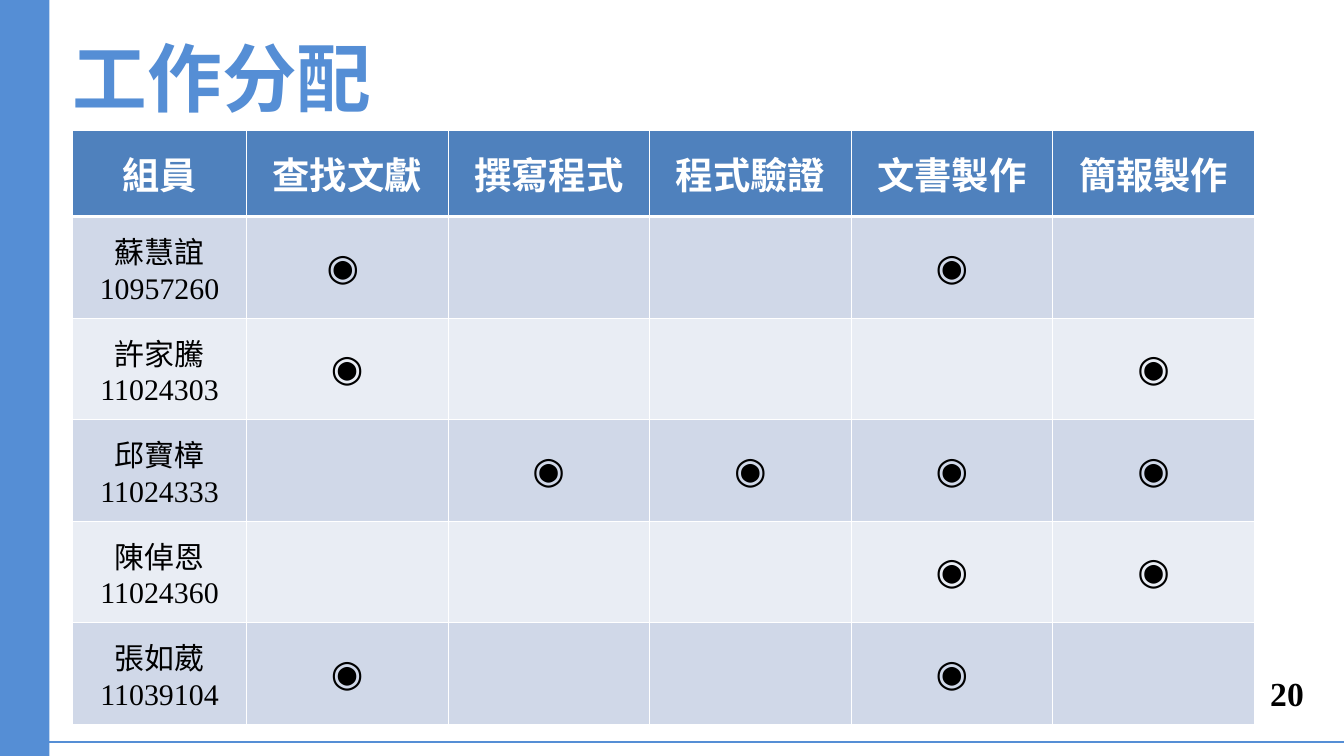
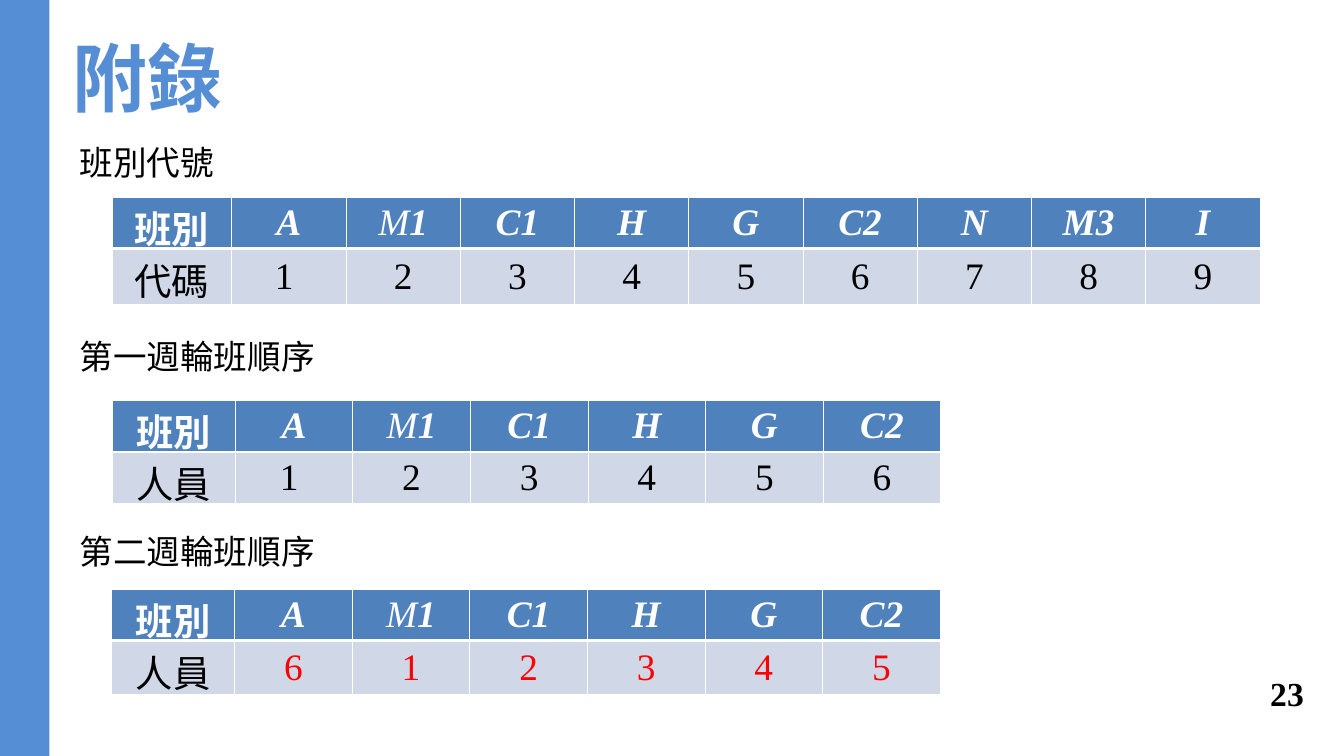
"""Builds the work allocation slide and the shift appendix slide."""
from dataclasses import dataclass
from typing import Any

import pptx
import pptx.dml.color
import pptx.enum.shapes
import pptx.enum.text
import pptx.oxml.ns
import pptx.util
from lxml import etree

RGBColor = pptx.dml.color.RGBColor
ACCENT = RGBColor(0x55, 0x8E, 0xD5)
HEADER = RGBColor(0x4F, 0x81, 0xBD)
BAND_DARK = RGBColor(0xD0, 0xD8, 0xE8)
BAND_LIGHT = RGBColor(0xE9, 0xED, 0xF4)
WHITE = RGBColor(0xFF, 0xFF, 0xFF)
BLACK = RGBColor(0, 0, 0)
RED = RGBColor(0xFF, 0, 0)

SERIF = "Times New Roman"
GRID_COLUMNS, GRID_ROWS = 240, 135
SLIDE_WIDTH = pptx.util.Inches(20)
SLIDE_HEIGHT = pptx.util.Inches(11.25)
LEFT_EDGE = 13
BAND_WIDTH = 8.8

ALIGN = pptx.enum.text.PP_ALIGN
MIDDLE = pptx.enum.text.MSO_ANCHOR.MIDDLE
TOP = pptx.enum.text.MSO_ANCHOR.TOP

MARK = "◉"
DUTIES = ["查找文獻", "撰寫程式", "程式驗證", "文書製作", "簡報製作"]
SHIFTS = ["A", "M1", "C1", "H", "G", "C2", "N", "M3", "I"]


@dataclass(frozen=True)
class Member:
    name: str
    number: str
    marks: list[str]


@dataclass(frozen=True)
class ShiftTable:
    caption: str
    label: str
    codes: list[str]
    left: float
    top: float
    label_width: float
    code_width: float
    heights: tuple[float, float]
    code_color: RGBColor = BLACK


MEMBERS = [
    Member("蘇慧誼", "10957260", [MARK + " ", "", "", MARK, ""]),
    Member("許家騰", "11024303", [MARK, "", "", "", MARK]),
    Member("邱寶樟", "11024333", ["", MARK, MARK, MARK, MARK]),
    Member("陳倬恩", "11024360", ["", "", "", MARK, MARK]),
    Member("張如葳", "11039104", [MARK, "", "", MARK, ""]),
]

SHIFT_TABLES = [
    ShiftTable("班別代號", "代碼", ["1 ", *"23456789"], 20, 35.2, 21.4, 20.4, (8.5, 10)),
    ShiftTable("第一週輪班順序", "人員", ["1 ", *"23456"], 20, 71.5, 22, 21, (7.6, 8.9)),
    ShiftTable("第二週輪班順序", "人員", [*"612345"], 19.9, 105.2, 22, 21, (8.9, 9.6), RED),
]


def across(columns: float) -> pptx.util.Emu:
    """Turn grid columns into a length."""
    return pptx.util.Emu(round(SLIDE_WIDTH * columns / GRID_COLUMNS))


def down(rows: float) -> pptx.util.Emu:
    """Turn grid rows into a length."""
    return pptx.util.Emu(round(SLIDE_HEIGHT * rows / GRID_ROWS))


def area(left: float, top: float, width: float, height: float) -> tuple:
    """Turn a grid rectangle into lengths."""
    return across(left), down(top), across(width), down(height)


def write(frame: Any, text: str, *, size: float, color: RGBColor = BLACK, font: str = SERIF,
          bold: bool = False, italic: bool = False, align: Any = ALIGN.CENTER,
          spacing: float | None = None, light: str = "") -> None:
    """Write lines of text, the first led by an optional part that is not bold."""
    for index, line in enumerate(text.split("\n")):
        paragraph = frame.add_paragraph() if index else frame.paragraphs[0]
        paragraph.alignment = align
        if spacing:
            paragraph.line_spacing = pptx.util.Pt(spacing)
        parts = [(line, bold)]
        if light and index == 0:
            parts.insert(0, (light, False))
        for words, heavy in parts:
            run = paragraph.add_run()
            run.text = words
            run.font.name = font
            run.font.size = pptx.util.Pt(size)
            run.font.bold = heavy
            run.font.italic = italic
            run.font.color.rgb = color


def style_cell(cell: Any, fill: RGBColor, bottom: float = 1) -> None:
    """Give a cell white borders, a fill and middle anchoring."""
    properties = cell._tc.get_or_add_tcPr()
    for side, width in (("L", 1), ("R", 1), ("T", 1), ("B", bottom)):
        border = etree.SubElement(properties, pptx.oxml.ns.qn(f"a:ln{side}"),
                                  w=str(pptx.util.Pt(width)))
        solid = etree.SubElement(border, pptx.oxml.ns.qn("a:solidFill"))
        etree.SubElement(solid, pptx.oxml.ns.qn("a:srgbClr"), val=str(WHITE))
    cell.fill.solid()
    cell.fill.fore_color.rgb = fill
    cell.vertical_anchor = MIDDLE


def add_grid_table(slide: Any, left: float, top: float, widths: list[float],
                   heights: list[float]) -> Any:
    """Add a table with a header row and alternating body rows."""
    table = slide.shapes.add_table(len(heights), len(widths),
                                   *area(left, top, sum(widths), sum(heights))).table
    table.horz_banding = False
    for column, width in zip(table.columns, widths):
        column.width = across(width)
    for index, (row, height) in enumerate(zip(table.rows, heights)):
        row.height = down(height)
        fill = (BAND_DARK if index % 2 else BAND_LIGHT) if index else HEADER
        for cell in row.cells:
            style_cell(cell, fill, bottom=1 if index else 3)
    return table


def add_band(slide: Any) -> None:
    """Draw the band on the left edge."""
    band = slide.shapes.add_shape(pptx.enum.shapes.MSO_SHAPE.RECTANGLE,
                                  *area(0, 0, BAND_WIDTH, GRID_ROWS))
    band.shadow.inherit = False
    band.fill.solid()
    band.fill.fore_color.rgb = ACCENT
    band.line.fill.background()


def add_base_line(slide: Any) -> None:
    """Draw the line along the bottom."""
    level = down(132.5)
    base = slide.shapes.add_connector(pptx.enum.shapes.MSO_CONNECTOR.STRAIGHT,
                                      across(BAND_WIDTH), level, SLIDE_WIDTH, level)
    base.line.color.rgb = ACCENT
    base.line.width = pptx.util.Pt(3)
    etree.SubElement(base._element.spPr, pptx.oxml.ns.qn("a:effectLst"))


def add_text(slide: Any, place: tuple, text: str, *, wrap: bool = True, **style: Any) -> None:
    """Add a text box anchored in the middle."""
    frame = slide.shapes.add_textbox(*place).text_frame
    frame.word_wrap = wrap
    frame.vertical_anchor = MIDDLE
    write(frame, text, **style)


def start_slide(deck: Any, heading: str, number: int) -> Any:
    """Add a slide with its band, title and page number."""
    slide = deck.slides.add_slide(deck.slide_layouts[5])
    add_band(slide)
    title = slide.shapes.title
    title.left, title.top, title.width, title.height = area(LEFT_EDGE, 5.6, 83, 16)
    frame = title.text_frame
    frame.margin_left = frame.margin_right = frame.margin_top = frame.margin_bottom = 0
    frame.vertical_anchor = TOP
    frame.auto_size = pptx.enum.text.MSO_AUTO_SIZE.NONE
    write(frame, heading, size=80, color=ACCENT, font="Arial", bold=True,
          align=ALIGN.LEFT, spacing=96)
    add_text(slide, area(206, 121.4, 28, 4.8), str(number), size=36, bold=True,
             align=ALIGN.RIGHT)
    return slide


def add_allocation(slide: Any) -> None:
    """Add the table of members and duties."""
    table = add_grid_table(slide, LEFT_EDGE, 23.2, [31] + [36] * len(DUTIES),
                           [15.5] + [18.12] * len(MEMBERS))
    for column, heading in enumerate(["組員", *DUTIES]):
        write(table.cell(0, column).text_frame, heading, size=40, color=WHITE, bold=True)
    for row, member in enumerate(MEMBERS, 1):
        write(table.cell(row, 0).text_frame, f"{member.name}\n{member.number}", size=32)
        for column, mark in enumerate(member.marks, 1):
            if mark:
                write(table.cell(row, column).text_frame, mark, size=40, font="Calibri")


def add_shift_table(slide: Any, shift: ShiftTable) -> None:
    """Add a table of shifts above their codes or staff."""
    count = len(shift.codes)
    table = add_grid_table(slide, shift.left, shift.top,
                           [shift.label_width] + [shift.code_width] * count,
                           list(shift.heights))
    write(table.cell(0, 0).text_frame, "班別", size=40, color=WHITE, bold=True)
    write(table.cell(1, 0).text_frame, shift.label, size=40)
    for column, (name, code) in enumerate(zip(SHIFTS, shift.codes), 1):
        light = "M" if name == "M1" else ""
        write(table.cell(0, column).text_frame, name.removeprefix(light), light=light,
              size=40, color=WHITE, bold=True, italic=True)
        write(table.cell(1, column).text_frame, code, size=40, color=shift.code_color)


def main() -> None:
    """Build and save the deck."""
    deck = pptx.Presentation()
    deck.slide_width, deck.slide_height = SLIDE_WIDTH, SLIDE_HEIGHT

    allocation = start_slide(deck, "工作分配", 20)
    add_allocation(allocation)
    add_base_line(allocation)

    appendix = start_slide(deck, "附錄", 23)
    for index, shift in enumerate(SHIFT_TABLES):
        add_shift_table(appendix, shift)
        width = 6 * len(shift.caption) + 3
        add_text(appendix, area(LEFT_EDGE, 24.6 + 34.75 * index, width, 8.5),
                 shift.caption, wrap=False, size=36, align=ALIGN.LEFT)

    deck.save("out.pptx")


if __name__ == "__main__":
    main()
